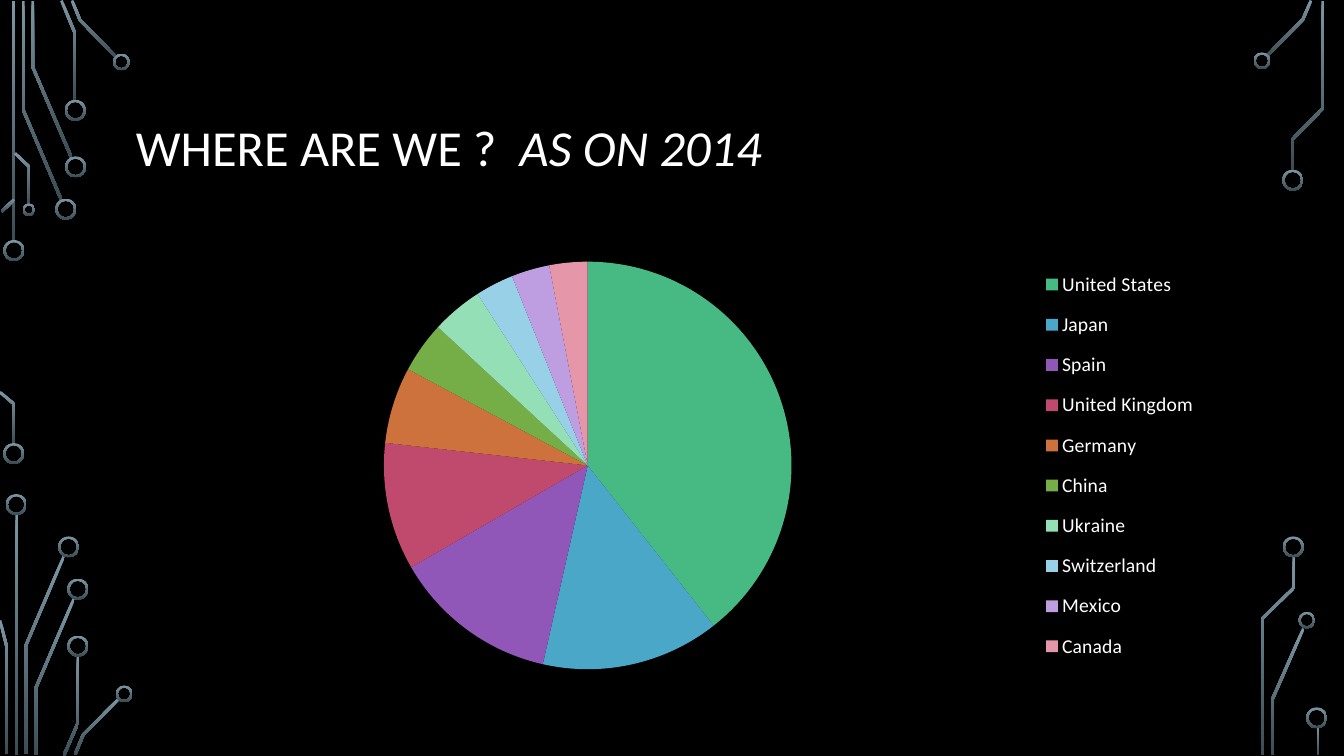
"""Build a dark slide with circuit trim, a title and a pie chart by country."""
import math

import lxml.etree
import pptx
import pptx.chart.data
import pptx.dml.color
import pptx.enum.chart
import pptx.enum.shapes
import pptx.enum.text
import pptx.oxml.ns
import pptx.util

Pt = pptx.util.Pt
RGB = pptx.dml.color.RGBColor
BLACK = RGB(0x00, 0x00, 0x00)
WHITE = RGB(0xFF, 0xFF, 0xFF)
STEEL = RGB(0x7C, 0x96, 0xA3)
SLATE = RGB(0x3B, 0x4C, 0x54)
FONT = "Calibri"
TRACE = 2
RING = 15
SMALL = 12

SHARES = [
    ("United States", 39, RGB(0x47, 0xB9, 0x83)),
    ("Japan", 14, RGB(0x4B, 0xA7, 0xC7)),
    ("Spain", 13, RGB(0x90, 0x57, 0xB9)),
    ("United Kingdom", 10, RGB(0xBF, 0x4A, 0x6D)),
    ("Germany", 6, RGB(0xCD, 0x72, 0x3D)),
    ("China", 4, RGB(0x75, 0xAD, 0x47)),
    ("Ukraine", 4, RGB(0x95, 0xDF, 0xB7)),
    ("Switzerland", 3, RGB(0x98, 0xD0, 0xE8)),
    ("Mexico", 3, RGB(0xBE, 0x9D, 0xE0)),
    ("Canada", 3, RGB(0xE5, 0x97, 0xA9)),
]

LEFT_LINES = [
    [(9.7, 0.7), (9.7, 172.8)],
    [(16.6, 0.7), (16.6, 78.5), (43.9, 143)],
    [(23.4, 0.7), (23.4, 47.9), (51.1, 112.7)],
    [(43.9, 0.4), (53.6, 23.8), (53.6, 72)],
    [(51.5, 0.4), (57.2, 14.4), (83.2, 41)],
    [(1.1, 151.2), (10.1, 142.6)],
    [(0, 280.1), (10.1, 288.7), (10.1, 317.5)],
    [(10.8, 109.4), (20.9, 119.2), (20.9, 146.2)],
    [(11.9, 367.2), (11.9, 539.3)],
    [(18.4, 538.6), (18.4, 461.2), (45.7, 397.1)],
    [(4.7, 538.6), (4.7, 461.5), (0, 443.2)],
    [(25.6, 539.3), (25.6, 491.4), (52.9, 427.3)],
    [(45.7, 539.6), (55.8, 516.2), (55.8, 468)],
    [(53.6, 539), (59.4, 524.9), (85, 499)],
]
LEFT_RINGS = [
    (9.9, 178.9, RING), (9.8, 324, RING), (47, 149.4, RING),
    (54, 119.2, RING), (53.8, 78.8, RING), (86.7, 44.3, SMALL),
    (20.6, 149.8, 9), (11.6, 360.4, RING), (49, 390.7, RING),
    (55.6, 420.8, RING), (55.6, 461.5, RING), (88.7, 495.6, SMALL),
]
RIGHT_LINES = [
    [(14.9, 40), (40.6, 14), (46.4, 0.4)],
    [(33, 121.7), (33, 99.7), (54.9, 77.4), (54.9, 0.7)],
    [(19, 539.3), (19, 499.3), (41, 449)],
    [(11.8, 539.3), (11.8, 441.7), (34.1, 420), (34.1, 397.4)],
    [(51.4, 519.1), (51.4, 539.3)],
]
RIGHT_RINGS = [
    (11.4, 43.4, SMALL), (33.4, 128.7, RING), (43.5, 443, SMALL),
    (33.8, 390.7, RING), (50.5, 512.8, RING),
]


def shade(shape):
    """Give a shape the steel to slate fade, with no line or shadow."""
    shape.shadow.inherit = False
    shape.line.fill.background()
    shape.fill.gradient()
    shape.fill.gradient_angle = 270
    for stop, tint in zip(shape.fill.gradient_stops, (STEEL, SLATE)):
        stop.color.rgb = tint


def edge(line, half):
    """Return the line moved sideways by half, with mitred bends."""
    turns = [math.atan2(b[1] - a[1], b[0] - a[0]) for a, b in zip(line, line[1:])]
    points = []
    for (x, y), near, far in zip(line, turns[:1] + turns, turns + turns[-1:]):
        mean = (near + far) / 2
        reach = half / math.cos((far - near) / 2)
        points.append((x - reach * math.sin(mean), y + reach * math.cos(mean)))
    return points


def add_trim(slide, left, top, lines, rings):
    """Draw circuit lines and rings from the given corner."""
    for line in lines:
        rim = edge(line, TRACE / 2) + edge(line, -TRACE / 2)[::-1]
        spots = [(Pt(left + x), Pt(top + y)) for x, y in rim]
        form = slide.shapes.build_freeform(*spots[0])
        form.add_line_segments(spots[1:], close=True)
        shade(form.convert_to_shape())
    for x, y, size in rings:
        ring = slide.shapes.add_shape(
            pptx.enum.shapes.MSO_SHAPE.DONUT,
            Pt(left + x - size / 2), Pt(top + y - size / 2), Pt(size), Pt(size))
        ring.adjustments[0] = 1.5 / size
        shade(ring)


def add_title(slide, left, top, width, height):
    """Write the title in the box, its last part in italics."""
    box = slide.shapes.add_textbox(Pt(left), Pt(top), Pt(width), Pt(height))
    frame = box.text_frame
    frame.word_wrap = True
    frame.vertical_anchor = pptx.enum.text.MSO_ANCHOR.MIDDLE
    line = frame.paragraphs[0]
    line.line_spacing = 0.9
    line.text = "WHERE ARE WE ?  "
    line.add_run().text = "AS ON 2014"
    for run in line.runs:
        run.font.size = Pt(36)
        run.font.name = FONT
        run.font.color.rgb = WHITE
    line.runs[-1].font.italic = True


def place_key(key, **place):
    """Fix the legend at the given shares of the chart box."""
    name = pptx.oxml.ns.qn
    frame = key._element.get_or_add_layout()
    spot = lxml.etree.SubElement(frame, name("c:manualLayout"))
    for tag in ("xMode", "yMode"):
        lxml.etree.SubElement(spot, name("c:" + tag)).set("val", "edge")
    for tag, share in place.items():
        lxml.etree.SubElement(spot, name("c:" + tag)).set("val", str(share))


def add_pie(slide, left, top, width, height):
    """Chart the country shares as a pie with its legend on the right."""
    data = pptx.chart.data.CategoryChartData()
    data.categories = [land for land, _, _ in SHARES]
    data.add_series("Series 1", [share for _, share, _ in SHARES])
    chart = slide.shapes.add_chart(
        pptx.enum.chart.XL_CHART_TYPE.PIE,
        Pt(left), Pt(top), Pt(width), Pt(height), data).chart
    chart.has_title = False
    chart.font.name = FONT
    chart.font.size = Pt(18)
    chart.font.color.rgb = WHITE
    chart.has_legend = True
    key = chart.legend
    key.position = pptx.enum.chart.XL_LEGEND_POSITION.RIGHT
    key.include_in_layout = False
    key.font.size = Pt(14)
    key.font.name = FONT
    key.font.color.rgb = WHITE
    place_key(key, x=0.83, y=0.02, w=0.16, h=0.96)
    plot = chart.plots[0]
    plot.vary_by_categories = True
    for rank, (_, _, tint) in enumerate(SHARES):
        slice_form = plot.series[0].points[rank].format
        slice_form.fill.solid()
        slice_form.fill.fore_color.rgb = tint
        slice_form.line.fill.background()


def main():
    """Build the slide and save it."""
    deck = pptx.Presentation()
    deck.slide_width, deck.slide_height = Pt(960), Pt(540)
    slide = deck.slides.add_slide(deck.slide_layouts[6])
    slide.background.fill.solid()
    slide.background.fill.fore_color.rgb = BLACK
    add_trim(slide, 0, 0, LEFT_LINES, LEFT_RINGS)
    add_trim(slide, 890, 0, RIGHT_LINES, RIGHT_RINGS)
    add_title(slide, 90, 49, 780, 117)
    add_pie(slide, 90, 177, 780, 311)
    deck.save("out.pptx")


if __name__ == "__main__":
    main()
